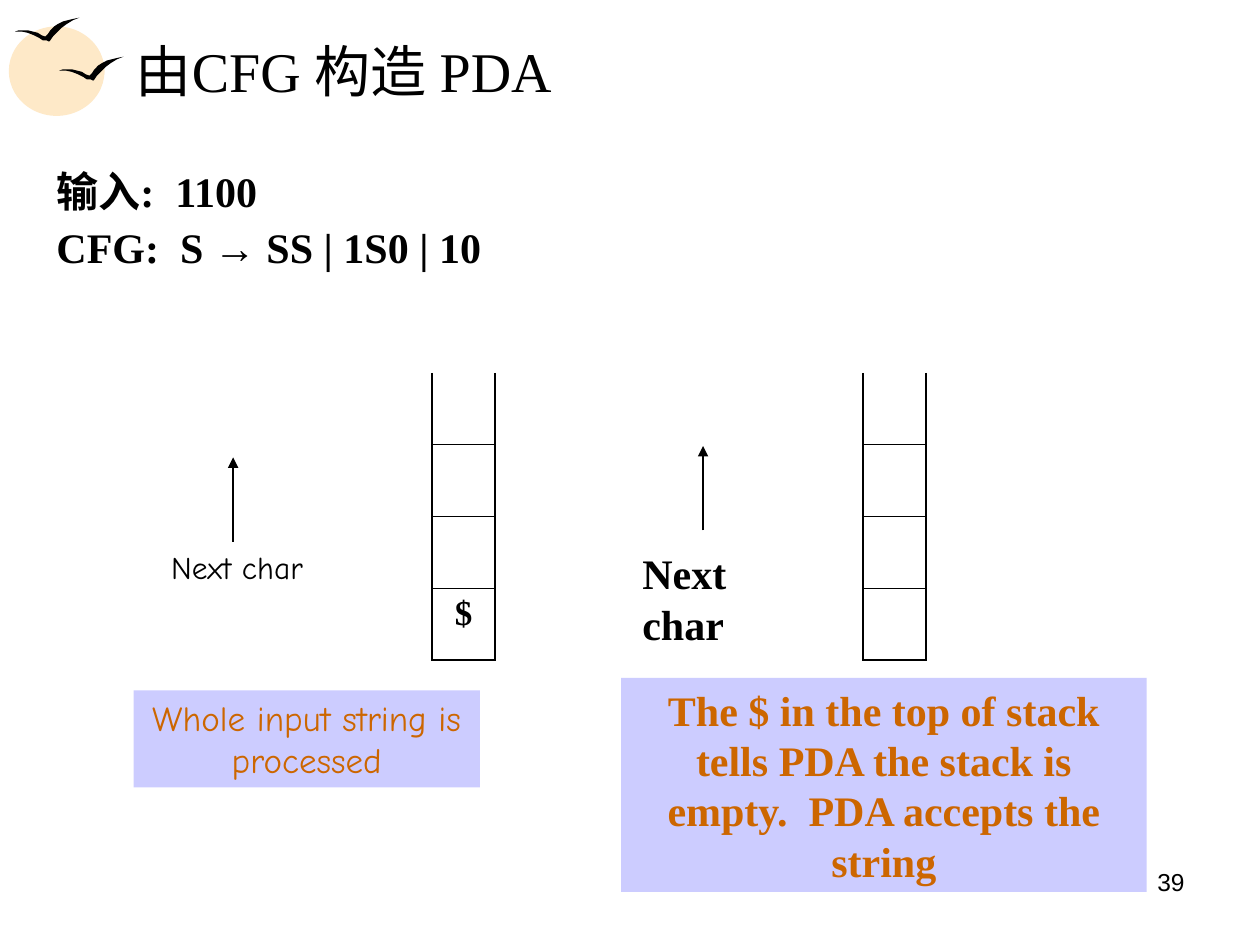
"""Build the slide on constructing a PDA from a CFG."""
from dataclasses import dataclass

from lxml.etree import SubElement
from pptx import Presentation
from pptx.dml.color import RGBColor
from pptx.enum.shapes import MSO_CONNECTOR, MSO_SHAPE
from pptx.enum.text import MSO_ANCHOR, PP_ALIGN
from pptx.oxml.ns import qn
from pptx.util import Pt

PX = 9144
SERIF, COMIC, SANS = "Times New Roman", "Comic Neue", "Arial"
BLACK, ORANGE, LILAC, CREAM = "000000", "CC6600", "CCCCFF", "FEE9C8"
ROWS, CELL_W, CELL_H = 4, 50, 57
WING = [
    (0, 11), (3, 10), (6, 10), (10, 10), (14, 11), (18, 12), (21, 14), (24, 15),
    (26, 13), (28, 10), (31, 7), (34, 5), (38, 3), (42, 2), (46, 1), (51, 0),
    (46, 2), (41, 5), (37, 8), (33, 12), (30, 15), (28, 18), (27, 19),
    (25, 18), (22, 18), (19, 16), (15, 14), (10, 12), (5, 11),
]


@dataclass
class Style:
    """Look of a piece of text."""
    size: int
    font: str = SERIF
    bold: bool = False
    color: str = BLACK
    align: PP_ALIGN = PP_ALIGN.LEFT


@dataclass
class Label:
    """Text in a box; each paragraph is a list of (text, font) runs."""
    x: int
    y: int
    w: int
    h: int
    paragraphs: list[list[tuple[str, str]]]
    style: Style
    fill: str = ""
    anchor: MSO_ANCHOR = MSO_ANCHOR.TOP
    line_spacing: float = 1.0
    gap: int = 0


@dataclass
class Stack:
    """A column of stack cells with the symbol in its lowest cell."""
    x: int
    y: int
    bottom: str = ""


@dataclass
class Arrow:
    """An upward arrow starting at its lower end."""
    x: int
    y: int
    length: int = 67


def rgb(color: str) -> RGBColor:
    """Turn a hex string into a colour."""
    return RGBColor.from_string(color)


def paint(sp, color: str) -> None:
    """Give a shape a plain fill without line or shadow."""
    sp.fill.solid()
    sp.fill.fore_color.rgb = rgb(color)
    sp.line.fill.background()
    sp.shadow.inherit = False


def write(p, runs: list[tuple[str, str]], style: Style) -> None:
    """Add runs to a paragraph."""
    p.alignment = style.align
    for text, font in runs:
        r = p.add_run()
        r.text = text
        r.font.name = font
        r.font.size = Pt(style.size)
        r.font.bold = style.bold
        r.font.color.rgb = rgb(style.color)


def draw_label(s, label: Label) -> None:
    """Draw a text box or a filled rectangle with text."""
    box = [v * PX for v in (label.x, label.y, label.w, label.h)]
    if label.fill:
        sp = s.shapes.add_shape(MSO_SHAPE.RECTANGLE, *box)
        paint(sp, label.fill)
    else:
        sp = s.shapes.add_textbox(*box)
    tf = sp.text_frame
    tf.word_wrap = True
    tf.vertical_anchor = label.anchor
    for i, runs in enumerate(label.paragraphs):
        p = tf.add_paragraph() if i else tf.paragraphs[0]
        p.line_spacing = label.line_spacing
        if i:
            p.space_before = Pt(label.gap)
        write(p, runs, label.style)


def draw_sun(s, x: int, y: int, w: int, h: int) -> None:
    """Draw one disc of the sun."""
    paint(s.shapes.add_shape(MSO_SHAPE.OVAL, x * PX, y * PX, w * PX, h * PX), CREAM)


def draw_bird(s, x: int, y: int) -> None:
    """Draw a flying bird with its upper left corner at x, y."""
    points = [(x + dx, y + dy) for dx, dy in WING]
    fb = s.shapes.build_freeform(*points[0], scale=PX)
    fb.add_line_segments(points[1:], close=True)
    paint(fb.convert_to_shape(), BLACK)


def set_border(cell, side: str, width: float) -> None:
    """Set one border of a cell; zero width hides it."""
    ln = SubElement(cell._tc.get_or_add_tcPr(), qn(f"a:ln{side}"), w=str(Pt(width)))
    if width:
        fill = SubElement(ln, qn("a:solidFill"))
        SubElement(fill, qn("a:srgbClr"), val=BLACK)
    else:
        SubElement(ln, qn("a:noFill"))


def draw_stack(s, stack: Stack) -> None:
    """Draw a stack that is open at the top."""
    table = s.shapes.add_table(ROWS, 1, stack.x * PX, stack.y * PX,
                               CELL_W * PX, ROWS * CELL_H * PX).table
    table.first_row = table.horz_banding = False
    table.columns[0].width = CELL_W * PX
    for i, row in enumerate(table.rows):
        row.height = CELL_H * PX
        cell = row.cells[0]
        top = 0.45 if i else 0
        bottom = 0.45 if i < ROWS - 1 else 1.08
        for side, width in zip("LRTB", (1.08, 1.08, top, bottom)):
            set_border(cell, side, width)
        cell.fill.background()
    if stack.bottom:
        p = table.cell(ROWS - 1, 0).text_frame.paragraphs[0]
        write(p, [(stack.bottom, SERIF)], Style(20, bold=True, align=PP_ALIGN.CENTER))


def draw_arrow(s, arrow: Arrow) -> None:
    """Draw an upward arrow."""
    x, y = arrow.x * PX, arrow.y * PX
    cx = s.shapes.add_connector(MSO_CONNECTOR.STRAIGHT, x, y, x, y - arrow.length * PX)
    cx.line.color.rgb = rgb(BLACK)
    cx.line.width = Pt(0.75)
    SubElement(cx.line._get_or_add_ln(), qn("a:tailEnd"), type="triangle")
    SubElement(cx._element.spPr, qn("a:effectLst"))


BOLD = Style(24, bold=True)
LABELS = [
    Label(717, 683, 233, 52, [[("39", SANS)]], Style(14, align=PP_ALIGN.RIGHT)),
    Label(98, 21, 853, 69, [[("由CFG 构造 PDA", SERIF)]], Style(32),
          anchor=MSO_ANCHOR.MIDDLE),
    Label(35, 131, 937, 102,
          [[("输入:  1100", SERIF)],
           [("CFG:  S ", SERIF), ("→", SANS), (" SS | 1S0 | 10", SERIF)]],
          BOLD, line_spacing=0.9, gap=6),
    Label(106, 548, 275, 77, [[("Whole input string is processed", COMIC)]],
          Style(20, color=ORANGE, align=PP_ALIGN.CENTER), LILAC),
    Label(493, 538, 417, 170,
          [[("The $ in the top of stack tells PDA the stack is empty.  "
             "PDA accepts the string", SERIF)]],
          Style(24, bold=True, color=ORANGE, align=PP_ALIGN.CENTER), LILAC),
    Label(126, 430, 150, 40, [[("Next char", COMIC)]], Style(18)),
    Label(500, 430, 150, 90, [[("Next char", SERIF)]], BOLD),
]
STACKS = [Stack(343, 296, "$"), Stack(685, 296)]
ARROWS = [Arrow(185, 430), Arrow(558, 421)]


def main() -> None:
    """Build and save the slide."""
    prs = Presentation()
    prs.slide_width, prs.slide_height = 1000 * PX, 750 * PX
    s = prs.slides.add_slide(prs.slide_layouts[6])
    draw_sun(s, 7, 21, 76, 71)
    draw_sun(s, 20, 28, 63, 55)
    draw_bird(s, 47, 45)
    draw_bird(s, 12, 14)
    for stack in STACKS:
        draw_stack(s, stack)
    for label in LABELS:
        draw_label(s, label)
    for arrow in ARROWS:
        draw_arrow(s, arrow)
    prs.save("out.pptx")


if __name__ == "__main__":
    main()
